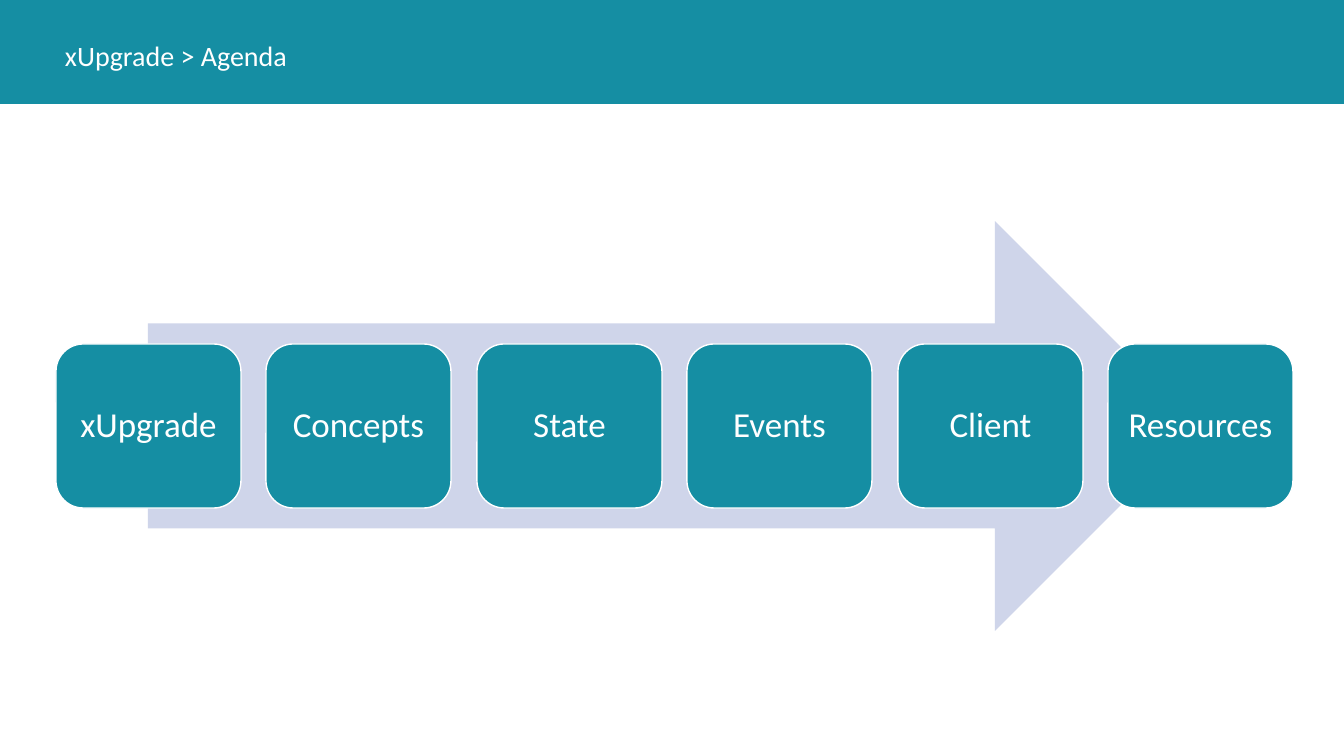
from pptx import Presentation
from pptx.dml.color import RGBColor
from pptx.enum.shapes import MSO_SHAPE as Shape
from pptx.enum.text import MSO_ANCHOR as Anchor, PP_ALIGN as Align
from pptx.util import Emu, Pt

TEAL = RGBColor(0x15, 0x8E, 0xA3)
PALE_BLUE = RGBColor(0xCF, 0xD5, 0xEA)
WHITE = RGBColor(0xFF, 0xFF, 0xFF)

FONT = "Calibri"
PAGE_WIDTH, PAGE_HEIGHT = 1344, 756
EMU_PER_PIXEL = 914400 / 100.8

TOPICS = ["xUpgrade", "Concepts", "State", "Events", "Client", "Resources"]
FIRST_LEFT, LAST_LEFT = 56, 1108
TOPIC_TOP, TOPIC_WIDTH, TOPIC_HEIGHT = 344, 185, 164


def px(pixels):
    """Turn pixels into EMU."""
    return Emu(round(pixels * EMU_PER_PIXEL))


def add_block(page, kind, left, top, width, height, fill, outline=None):
    """Add a flat preset shape, with a thin outline if one is given."""
    block = page.shapes.add_shape(kind, px(left), px(top), px(width), px(height))
    block.shadow.inherit = False
    block.fill.solid()
    block.fill.fore_color.rgb = fill
    if outline is None:
        block.line.fill.background()
    else:
        block.line.color.rgb = outline
        block.line.width = Pt(1)
    return block


def write(block, text, size, align, anchor):
    """Write one white paragraph into a shape and return the paragraph."""
    frame = block.text_frame
    frame.word_wrap = True
    frame.vertical_anchor = anchor
    para = frame.paragraphs[0]
    para.alignment = align
    span = para.add_run()
    span.text = text
    span.font.name = FONT
    span.font.size = Pt(size)
    span.font.color.rgb = WHITE
    return para


def add_header(page, title):
    """Add the full-width band and its title."""
    add_block(page, Shape.RECTANGLE, 0, 0, PAGE_WIDTH, 104, TEAL)
    box = add_block(page, Shape.RECTANGLE, 55, 34, 892, 44, TEAL)
    write(box, title, 20, Align.LEFT, Anchor.TOP)


def add_topic(page, left, text):
    """Add one rounded agenda topic."""
    box = add_block(page, Shape.ROUNDED_RECTANGLE, left, TOPIC_TOP,
                    TOPIC_WIDTH, TOPIC_HEIGHT, TEAL, WHITE)
    frame = box.text_frame
    frame.margin_left = frame.margin_right = px(10)
    frame.margin_top = frame.margin_bottom = px(10)
    para = write(box, text, 25, Align.CENTER, Anchor.MIDDLE)
    para.line_spacing = 0.9


def add_agenda(page):
    """Add the arrow with the topics evenly spaced along it."""
    add_block(page, Shape.RIGHT_ARROW, 148, 221, 1052, 410, PALE_BLUE)
    pitch = (LAST_LEFT - FIRST_LEFT) / (len(TOPICS) - 1)
    for index, topic in enumerate(TOPICS):
        add_topic(page, round(FIRST_LEFT + index * pitch), topic)


def main():
    """Build and save the agenda slide."""
    deck = Presentation()
    deck.slide_width, deck.slide_height = px(PAGE_WIDTH), px(PAGE_HEIGHT)
    page = deck.slides.add_slide(deck.slide_layouts[6])
    add_header(page, "xUpgrade > Agenda")
    add_agenda(page)
    deck.save("out.pptx")


main()
